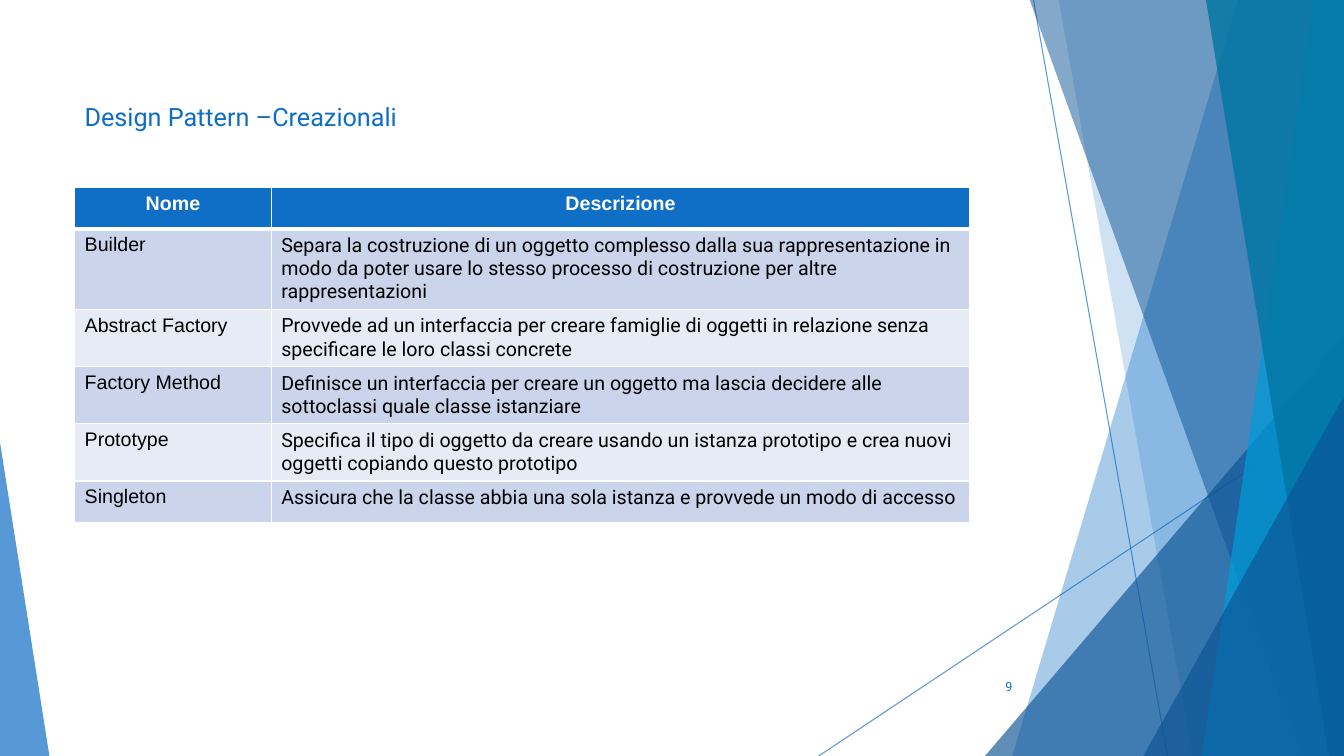
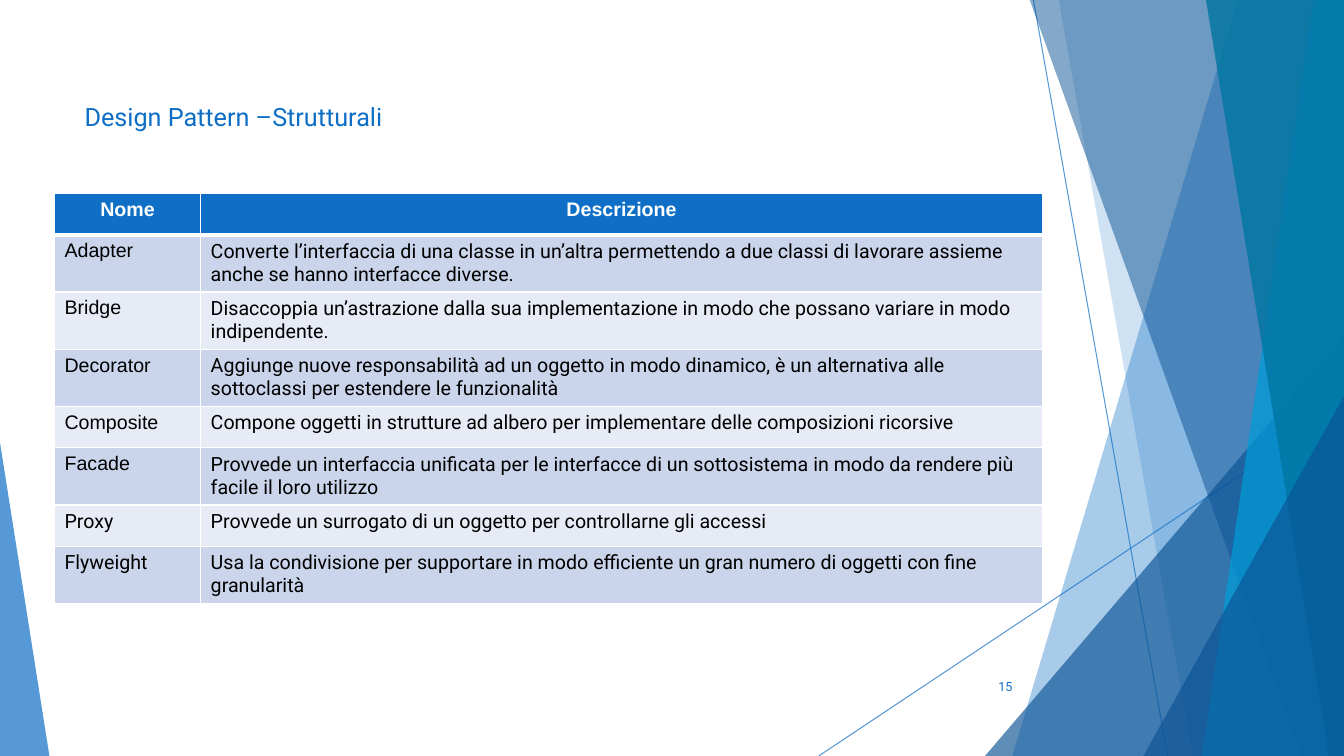
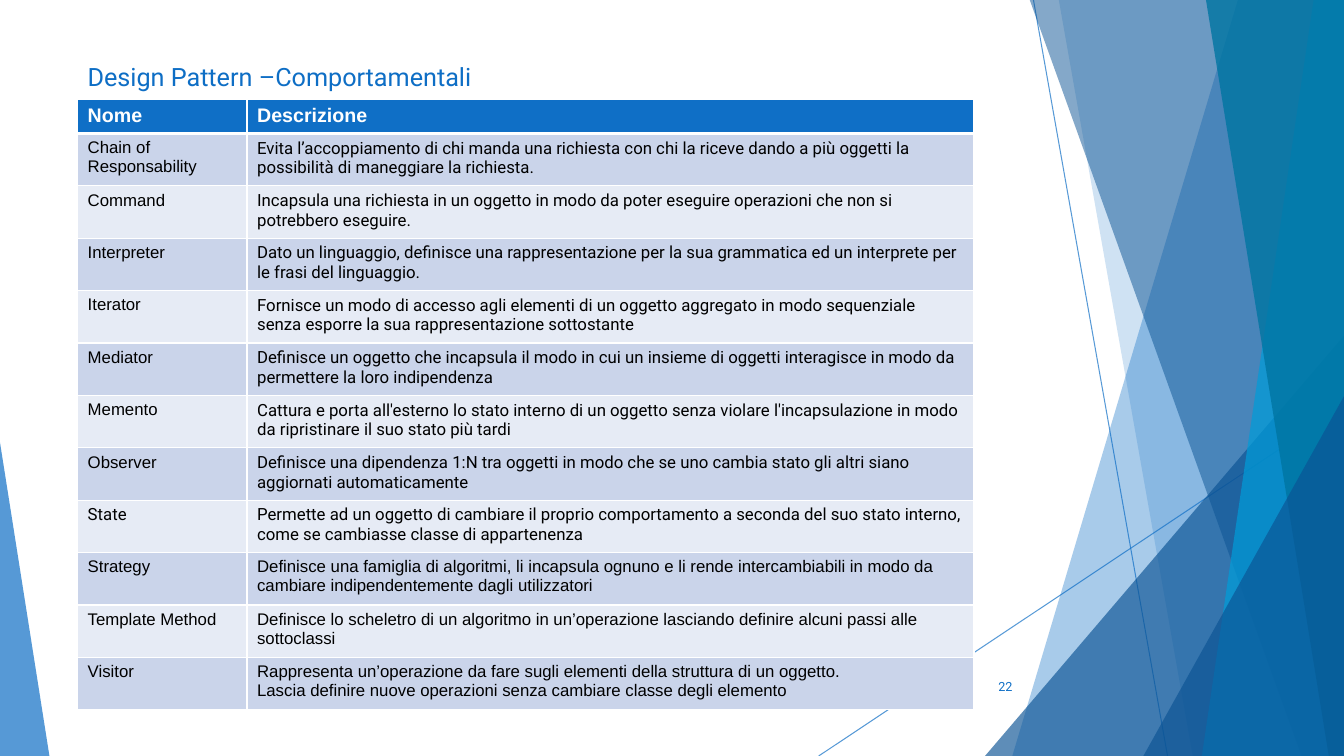
from lxml import etree
from pptx import Presentation
from pptx.dml.color import RGBColor
from pptx.enum.shapes import MSO_CONNECTOR, MSO_SHAPE
from pptx.enum.text import MSO_ANCHOR, PP_ALIGN
from pptx.oxml.ns import qn
from pptx.util import Inches, Pt

STRAIGHT = MSO_CONNECTOR.STRAIGHT
TRIANGLE = MSO_SHAPE.ISOSCELES_TRIANGLE
TOP, MIDDLE = MSO_ANCHOR.TOP, MSO_ANCHOR.MIDDLE
LEFT, CENTER, RIGHT = PP_ALIGN.LEFT, PP_ALIGN.CENTER, PP_ALIGN.RIGHT

WIDTH, HEIGHT = 13.33, 7.5
BLUE, NAVY, CYAN, TEAL = "0F6FC6", "0B5394", "009DD9", "0075A2"
TITLE_BLUE, WHITE, BLACK = "0E6EC5", "FFFFFF", "000000"
STRIPES = ("CAD4EA", "E6EBF5")
ARIAL, ROBOTO = "Arial", "Roboto"

RAYS = [((10.25, 0), (11.58, 7.5)), ((13.33, 4.03), (8.12, 7.5))]
LARGE_WEDGE = (9.77, 3.33, 3.56, 4.17)
SMALL_WEDGE = (11.34, 3.93, 1.99, 3.57)
LEFT_WEDGE = (0, 4.39, 0.49, 3.11)

CREATIONAL = [
    ("Builder", "Separa la costruzione di un oggetto complesso dalla sua rappresentazione in modo da poter usare lo stesso processo di costruzione per altre rappresentazioni"),
    ("Abstract Factory", "Provvede ad un interfaccia per creare famiglie di oggetti in relazione senza specificare le loro classi concrete"),
    ("Factory Method", "Definisce un interfaccia per creare un oggetto ma lascia decidere alle sottoclassi quale classe istanziare"),
    ("Prototype", "Specifica il tipo di oggetto da creare usando un istanza prototipo e crea nuovi oggetti copiando questo prototipo"),
    ("Singleton", "Assicura che la classe abbia una sola istanza e provvede un modo di accesso"),
]
STRUCTURAL = [
    ("Adapter", "Converte l’interfaccia di una classe in un’altra permettendo a due classi di lavorare assieme anche se hanno interfacce diverse."),
    ("Bridge", "Disaccoppia un’astrazione dalla sua implementazione in modo che possano variare in modo indipendente."),
    ("Decorator", "Aggiunge nuove responsabilità ad un oggetto in modo dinamico, è un alternativa alle sottoclassi per estendere le funzionalità"),
    ("Composite", "Compone oggetti in strutture ad albero per implementare delle composizioni ricorsive"),
    ("Facade", "Provvede un interfaccia unificata per le interfacce di un sottosistema in modo da rendere più facile il loro utilizzo"),
    ("Proxy", "Provvede un surrogato di un oggetto per controllarne gli accessi"),
    ("Flyweight", "Usa la condivisione per supportare in modo efficiente un gran numero di oggetti con fine granularità"),
]
BEHAVIORAL = [
    ("Chain of Responsability", "Evita l’accoppiamento di chi manda una richiesta con chi la riceve dando a più oggetti la possibilità di maneggiare la richiesta."),
    ("Command", "Incapsula una richiesta in un oggetto in modo da poter eseguire operazioni che non si potrebbero eseguire."),
    ("Interpreter", "Dato un linguaggio, definisce una rappresentazione per la sua grammatica ed un interprete per le frasi del linguaggio."),
    ("Iterator", "Fornisce un modo di accesso agli elementi di un oggetto aggregato in modo sequenziale senza esporre la sua rappresentazione sottostante"),
    ("Mediator", "Definisce un oggetto che incapsula il modo in cui un insieme di oggetti interagisce in modo da permettere la loro indipendenza"),
    ("Memento", "Cattura e porta all'esterno lo stato interno di un oggetto senza violare l'incapsulazione in modo da ripristinare il suo stato più tardi"),
    ("Observer", "Definisce una dipendenza 1:N tra oggetti in modo che se uno cambia stato gli altri siano aggiornati automaticamente"),
    ("State", "Permette ad un oggetto di cambiare il proprio comportamento a seconda del suo stato interno, come se cambiasse classe di appartenenza"),
    ("Strategy", "Definisce una famiglia di algoritmi, li incapsula ognuno e li rende intercambiabili in modo da cambiare indipendentemente dagli utilizzatori"),
    ("Template Method", "Definisce lo scheletro di un algoritmo in un’operazione lasciando definire alcuni passi alle sottoclassi"),
    ("Visitor", "Rappresenta un’operazione da fare sugli elementi della struttura di un oggetto.\nLascia definire nuove operazioni senza cambiare classe degli elemento"),
]
ROBOTO_NAMES = {"Proxy", "Flyweight", "State"}
ARIAL_DESCRIPTIONS = {"Strategy", "Template Method", "Visitor"}


def rgb(color):
    """Turn a hex string into a colour."""
    return RGBColor.from_string(color)


def inches(*lengths):
    """Convert several lengths at once."""
    return [Inches(length) for length in lengths]


def set_opacity(element, percent):
    """Make the first solid colour under an element translucent."""
    color = element.find(".//" + qn("a:srgbClr"))
    etree.SubElement(color, qn("a:alpha"), val=str(percent * 1000))


def paint(shape, color, opacity):
    """Give a facet its translucent fill, without outline or shadow."""
    shape.shadow.inherit = False
    shape.fill.solid()
    shape.fill.fore_color.rgb = rgb(color)
    shape.line.fill.background()
    set_opacity(shape.fill._xPr.find(qn("a:solidFill")), opacity)


def add_ray(slide, start, end):
    """Draw one thin translucent line."""
    ray = slide.shapes.add_connector(STRAIGHT, *inches(*start, *end))
    ray.line.color.rgb = rgb(BLUE)
    ray.line.width = Pt(0.75)
    set_opacity(ray.line._ln, 70)
    etree.SubElement(ray._element.spPr, qn("a:effectLst"))


def add_facet(slide, top_x, bottom_x, color, opacity):
    """Fill the area between a slanted edge and the right side of the slide."""
    top = -0.01
    outline = slide.shapes.build_freeform(*inches(top_x, top))
    corners = [(WIDTH, top), (WIDTH, HEIGHT), (bottom_x, HEIGHT)]
    outline.add_line_segments([inches(*corner) for corner in corners])
    paint(outline.convert_to_shape(), color, opacity)


def add_wedge(slide, box, apex, color, opacity):
    """Draw a triangle with its apex at the given share of the width."""
    wedge = slide.shapes.add_shape(TRIANGLE, *inches(*box))
    wedge.adjustments[0] = apex
    paint(wedge, color, opacity)


def add_backdrop(slide):
    """Draw the facets that every slide shares."""
    for start, end in RAYS:
        add_ray(slide, start, end)
    add_facet(slide, 12.28, 10.04, BLUE, 36)
    add_facet(slide, 10.5, 11.83, BLUE, 20)
    add_wedge(slide, LARGE_WEDGE, 1, NAVY, 66)
    add_facet(slide, 10.21, 12.91, NAVY, 50)
    add_facet(slide, 13.03, 11.92, CYAN, 70)
    add_facet(slide, 11.96, 13.18, TEAL, 80)
    add_wedge(slide, SMALL_WEDGE, 1, NAVY, 66)
    add_wedge(slide, LEFT_WEDGE, 0, BLUE, 70)


def write(frame, text, size, font, color, align=LEFT, bold=False):
    """Write each line of a text as a paragraph."""
    for index, line in enumerate(text.split("\n")):
        paragraph = frame.add_paragraph() if index else frame.paragraphs[0]
        paragraph.alignment = align
        run = paragraph.add_run()
        run.text = line
        run.font.size = Pt(size)
        run.font.name = font
        run.font.bold = bold
        run.font.color.rgb = rgb(color)


def add_label(slide, box, text, size, color, align=LEFT, anchor=TOP, inset=0.05):
    """Add a wrapped text box with the given top inset."""
    frame = slide.shapes.add_textbox(*inches(*box)).text_frame
    frame.word_wrap = True
    frame.vertical_anchor = anchor
    frame.margin_top = Inches(inset)
    write(frame, text, size, ROBOTO, color, align)


def set_borders(cell, top, bottom):
    """Give a cell white borders; top and bottom widths are in points."""
    properties = cell._tc.get_or_add_tcPr()
    widths = {"a:lnL": 1, "a:lnR": 1, "a:lnT": top, "a:lnB": bottom}
    for tag, width in widths.items():
        border = etree.SubElement(properties, qn(tag), w=str(Pt(width)))
        fill = etree.SubElement(border, qn("a:solidFill"))
        etree.SubElement(fill, qn("a:srgbClr"), val=WHITE)


def style_cell(cell, color, top=1, bottom=1):
    """Set the borders and fill of a cell."""
    set_borders(cell, top, bottom)
    cell.fill.solid()
    cell.fill.fore_color.rgb = rgb(color)


def add_pattern_table(slide, box, columns, patterns, header_height, row_height, size, header_align):
    """Fill a two-column table of pattern names and descriptions."""
    frame = slide.shapes.add_table(len(patterns) + 1, 2, *inches(*box))
    table = frame.table
    for column, width in zip(table.columns, columns):
        column.width = Inches(width)
    for index, row in enumerate(table.rows):
        row.height = Inches(row_height if index else header_height)
    frame.height = Inches(box[3])
    for column, heading in enumerate(("Nome", "Descrizione")):
        cell = table.cell(0, column)
        style_cell(cell, BLUE, bottom=3)
        write(cell.text_frame, heading, 14, ARIAL, WHITE, header_align, True)
    for row, (name, description) in enumerate(patterns, 1):
        name_font = ROBOTO if name in ROBOTO_NAMES else ARIAL
        description_font = ARIAL if name in ARIAL_DESCRIPTIONS else ROBOTO
        entries = [(name, name_font), (description, description_font)]
        for column, (text, font) in enumerate(entries):
            cell = table.cell(row, column)
            style_cell(cell, STRIPES[(row - 1) % 2], top=3 if row == 1 else 1)
            write(cell.text_frame, text, size, font, BLACK)


def add_pattern_slide(deck, family, number, title_at, box, columns, patterns,
                      header_height=0.41, row_height=0.41, size=14, header_align=CENTER):
    """Build one slide about a family of patterns."""
    slide = deck.slides.add_slide(deck.slide_layouts[6])
    add_backdrop(slide)
    add_label(slide, (*title_at, 9.4, 1.44), f"Design Pattern –{family}", 18, TITLE_BLUE, inset=0.34)
    add_label(slide, (9.39, 6.61, 0.75, 0.4), str(number), 9, BLUE, RIGHT, MIDDLE)
    add_pattern_table(slide, box, columns, patterns, header_height, row_height, size, header_align)


def main():
    """Build and save the deck."""
    deck = Presentation()
    deck.slide_width, deck.slide_height = inches(WIDTH, HEIGHT)
    add_pattern_slide(deck, "Creazionali", 9, (0.74, 0.67), (0.74, 1.86, 8.89, 3.31),
                      (1.95, 6.93), CREATIONAL)
    add_pattern_slide(deck, "Strutturali", 15, (0.74, 0.67), (0.54, 1.92, 9.81, 4.05),
                      (1.45, 8.35), STRUCTURAL)
    add_pattern_slide(deck, "Comportamentali", 22, (0.77, 0.27), (0.77, 0.99, 8.89, 6.04),
                      (1.68, 7.21), BEHAVIORAL, 0.31, 0.52, 12, LEFT)
    deck.save("out.pptx")


main()
